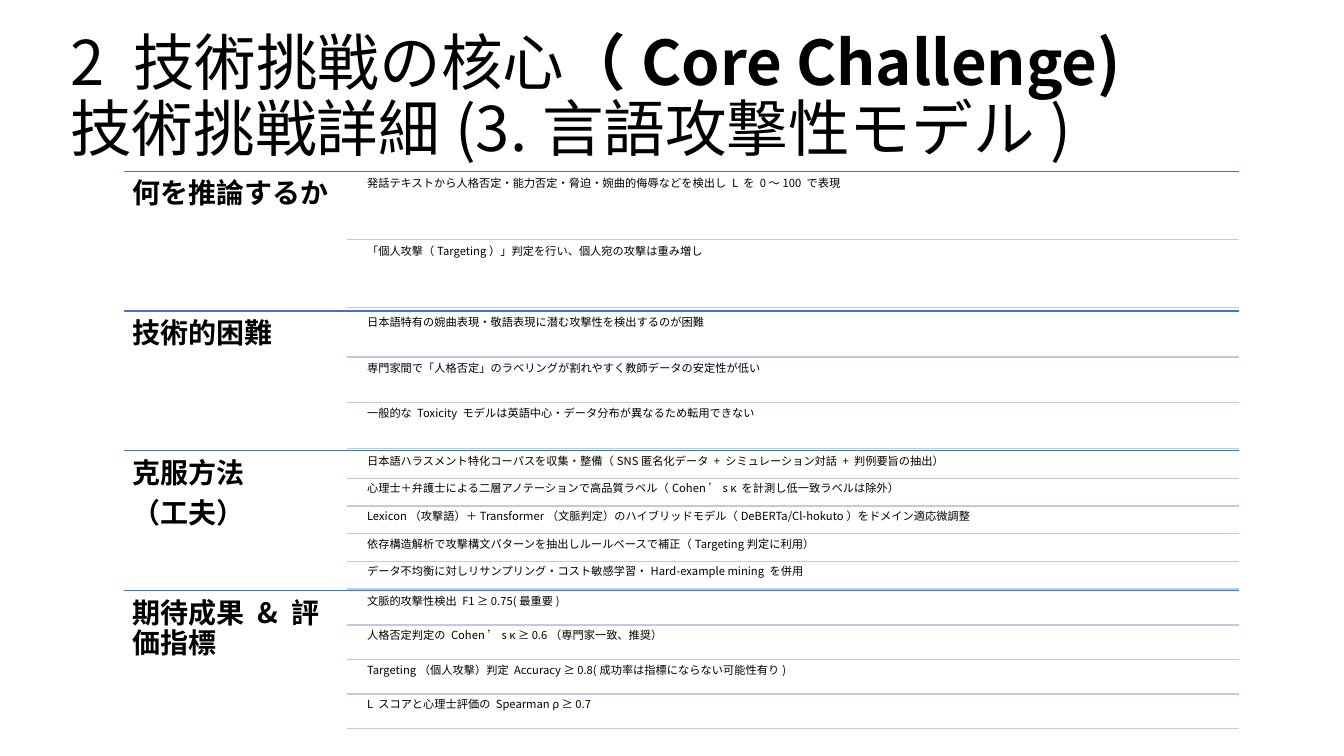
from lxml.etree import SubElement
from pptx import Presentation
from pptx.dml.color import RGBColor
from pptx.enum.shapes import MSO_CONNECTOR
from pptx.enum.text import MSO_ANCHOR
from pptx.oxml.ns import qn
from pptx.util import Pt

FONT = "Noto Sans CJK JP"
BLACK, SECTION_BLUE, ROW_BLUE = "000000", "4472C4", "C1C9E4"

# Layout in points
LEFT, RIGHT = 88.5, 885
HEADING_WIDTH = 159.3
ROW_LINE_LEFT, ROW_TEXT_LEFT = 247.8, 259.8
SECTIONS_TOP, SECTION_HEIGHT = 122.4, 99.8
GAP_RATIO = 0.05  # gap between rows, as a share of the row height

TITLE = [
    [("2 技術挑戦の核心", False), ("（Core Challenge)", True)],
    [("技術挑戦詳細(3.言語攻撃性モデル)", False)],
]

SECTIONS = [
    (["何を推論するか"], [
        "発話テキストから人格否定・能力否定・脅迫・婉曲的侮辱などを検出し L を 0〜100 で表現",
        "「個人攻撃（Targeting）」判定を行い、個人宛の攻撃は重み増し",
    ]),
    (["技術的困難"], [
        "日本語特有の婉曲表現・敬語表現に潜む攻撃性を検出するのが困難",
        "専門家間で「人格否定」のラベリングが割れやすく教師データの安定性が低い",
        "一般的な Toxicity モデルは英語中心・データ分布が異なるため転用できない",
    ]),
    (["克服方法", "（工夫）"], [
        "日本語ハラスメント特化コーパスを収集・整備（SNS匿名化データ + シミュレーション対話 + 判例要旨の抽出）",
        "心理士＋弁護士による二層アノテーションで高品質ラベル（Cohen’s κ を計測し低一致ラベルは除外）",
        "Lexicon（攻撃語）＋Transformer（文脈判定）のハイブリッドモデル（DeBERTa/Cl-hokuto）をドメイン適応微調整",
        "依存構造解析で攻撃構文パターンを抽出しルールベースで補正（Targeting判定に利用）",
        "データ不均衡に対しリサンプリング・コスト敏感学習・Hard-example mining を併用",
    ]),
    (["期待成果 & 評価指標"], [
        "文脈的攻撃性検出 F1 ≥ 0.75(最重要)",
        "人格否定判定の Cohen’s κ ≥ 0.6（専門家一致、推奨）",
        "Targeting（個人攻撃）判定 Accuracy ≥ 0.8(成功率は指標にならない可能性有り)",
        "L スコアと心理士評価の Spearman ρ ≥ 0.7",
    ]),
]


def color(hex_code):
    return RGBColor.from_string(hex_code)


def add_run(paragraph, text, *, size, bold=False):
    run = paragraph.add_run()
    run.text = text
    run.font.size = Pt(size)
    run.font.bold = bold
    run.font.name = FONT
    run.font.color.rgb = color(BLACK)
    # East Asian typeface
    SubElement(run.font._element, qn("a:ea"), typeface=FONT)


def add_frame(slide, left, top, width, height, *, inset=None, anchor=MSO_ANCHOR.TOP):
    box = slide.shapes.add_textbox(Pt(left), Pt(top), Pt(width), Pt(height))
    frame = box.text_frame
    frame.word_wrap = True
    frame.vertical_anchor = anchor
    if inset is not None:
        frame.margin_left = frame.margin_right = Pt(inset)
        frame.margin_top = frame.margin_bottom = Pt(inset)
    return frame


def add_text(slide, lines, left, top, width, height, *, size, bold=False, inset):
    frame = add_frame(slide, left, top, width, height, inset=inset)
    for i, line in enumerate(lines):
        paragraph = frame.add_paragraph() if i else frame.paragraphs[0]
        paragraph.line_spacing = 0.9
        paragraph.space_after = Pt(size * 0.35)
        add_run(paragraph, line, size=size, bold=bold)


def add_rule(slide, left, y, hex_code):
    rule = slide.shapes.add_connector(
        MSO_CONNECTOR.STRAIGHT, Pt(left), Pt(y), Pt(RIGHT), Pt(y))
    rule.line.color.rgb = color(hex_code)
    rule.line.width = Pt(1)
    SubElement(rule._element.spPr, qn("a:effectLst"))


def add_title(slide):
    frame = add_frame(slide, 43.2, 18, 828, 104.4, anchor=MSO_ANCHOR.MIDDLE)
    paragraph = frame.paragraphs[0]
    paragraph.line_spacing = 0.9
    for i, line in enumerate(TITLE):
        if i:
            paragraph.add_line_break()
        for text, bold in line:
            add_run(paragraph, text, size=44, bold=bold)


def add_section(slide, top, heading, rows):
    add_rule(slide, LEFT, top, SECTION_BLUE)
    add_text(slide, heading, LEFT, top, HEADING_WIDTH, SECTION_HEIGHT,
             size=20, bold=True, inset=6)
    # Rows share the section height, with a gap before, between and after them
    count = len(rows)
    row_height = SECTION_HEIGHT / (count + (count + 1) * GAP_RATIO)
    gap = row_height * GAP_RATIO
    for i, row in enumerate(rows):
        row_top = top + gap + i * (row_height + gap)
        add_text(slide, [row], ROW_TEXT_LEFT, row_top, RIGHT - ROW_TEXT_LEFT,
                 row_height, size=8, inset=2.4)
        add_rule(slide, ROW_LINE_LEFT, row_top + row_height, ROW_BLUE)


def main():
    deck = Presentation()
    deck.slide_width, deck.slide_height = Pt(960), Pt(540)
    slide = deck.slides.add_slide(deck.slide_layouts[6])
    add_title(slide)
    for i, (heading, rows) in enumerate(SECTIONS):
        add_section(slide, SECTIONS_TOP + i * SECTION_HEIGHT, heading, rows)
    deck.save("out.pptx")


if __name__ == "__main__":
    main()
